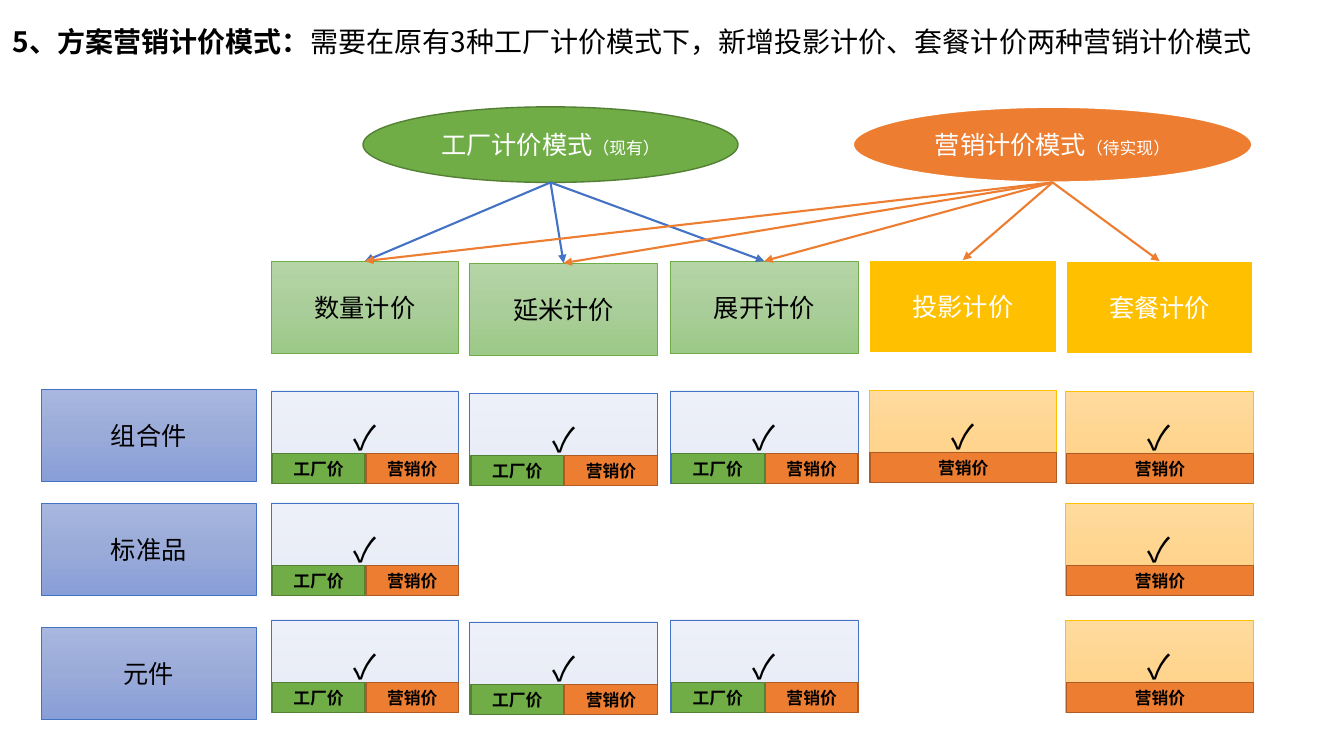
from lxml import etree
from pptx import Presentation
from pptx import util as u
from pptx.dml import color
from pptx.enum import shapes, text
from pptx.oxml import ns

FONT = "Noto Sans CJK SC"
BLUE, GREEN, ORANGE, GOLD = "4472C4", "70AD47", "ED7D31", "FFC000"
BLUES = ["A8B7DF", "9AABD9", "889ED7"]
GREENS = ["B5D5A7", "AACE9A", "9CC987"]
GOLDS = ["FFDB9E", "FFD590", "FFD07C"]
WIDE, HIGH = 1.86, 0.92
HEAD_Y = 2.59
MODES = [("数量计价", 2.69, 0), ("延米计价", 4.66, 0.02), ("展开计价", 6.65, 0),
         ("投影计价", 8.62, -0.01), ("套餐计价", 10.57, 0)]
GOODS = [("组合件", 3.86, 3.88, [0, 1, 2, 3, 4]),
         ("标准品", 4.99, 4.99, [0, 4]),
         ("元件", 6.22, 6.15, [0, 1, 2, 4])]


def rgb(code):
    """Turn a hex string into a colour."""
    return color.RGBColor.from_string(code)


def style(run, size, code, bold=False):
    """Format one run for both Latin and Chinese glyphs."""
    font = run.font
    font.size, font.bold, font.name = u.Pt(size), bold, FONT
    font.color.rgb = rgb(code)
    east = etree.SubElement(run._r.get_or_add_rPr(), ns.qn("a:ea"))
    east.set("typeface", FONT)


def shade(shape, codes, alpha):
    """Fill a shape with an even vertical gradient."""
    shape.fill.gradient()
    shape.fill.gradient_angle = 270
    stops = shape._element.spPr.find(".//" + ns.qn("a:gsLst"))
    for old in list(stops):
        stops.remove(old)
    for i, code in enumerate(codes):
        stop = etree.SubElement(stops, ns.qn("a:gs"), pos=str(i * 50000))
        tint = etree.SubElement(stop, ns.qn("a:srgbClr"), val=code)
        if alpha < 100:
            etree.SubElement(tint, ns.qn("a:alpha"), val=str(alpha * 1000))


def box(parent, at, parts, fill, line, weight, ink="000000", bold=False,
        kind=shapes.MSO_SHAPE.RECTANGLE, alpha=100):
    """Add a filled shape with centred text given as (words, size) parts."""
    shape = parent.add_shape(kind, *map(u.Inches, at))
    shape.shadow.inherit = False
    if isinstance(fill, list):
        shade(shape, fill, alpha)
    else:
        shape.fill.solid()
        shape.fill.fore_color.rgb = rgb(fill)
    shape.line.color.rgb = rgb(line)
    shape.line.width = u.Pt(weight)
    frame = shape.text_frame
    frame.word_wrap = True
    frame.vertical_anchor = text.MSO_ANCHOR.MIDDLE
    para = frame.paragraphs[0]
    para.alignment = text.PP_ALIGN.CENTER
    for words, size in parts:
        run = para.add_run()
        run.text = words
        style(run, size, ink, bold)
    return shape


def arrow(parent, start, head, code):
    """Draw an arrow from a point to the top of a box."""
    x, y = map(u.Inches, start)
    line = parent.add_connector(shapes.MSO_CONNECTOR.STRAIGHT, x, y, x, y)
    line.end_connect(head, 0)
    line.line.color.rgb = rgb(code)
    line.line.width = u.Pt(1.5)
    prop = line._element.spPr
    etree.SubElement(prop.find(ns.qn("a:ln")), ns.qn("a:tailEnd"), type="triangle")
    etree.SubElement(prop, ns.qn("a:effectLst"))


def title(parent):
    """Add the heading with its bold lead."""
    frame = parent.add_textbox(*map(u.Inches, (0.03, 0.19, 13.31, 0.44))).text_frame
    frame.word_wrap = True
    frame.auto_size = text.MSO_AUTO_SIZE.SHAPE_TO_FIT_TEXT
    lead = ("5、方案营销计价模式：", True)
    rest = ("需要在原有3种工厂计价模式下，新增投影计价、套餐计价两种营销计价模式", False)
    for words, bold in (lead, rest):
        run = frame.paragraphs[0].add_run()
        run.text = words
        style(run, 20, "000000", bold)


def price(parent, x, y, wide, plant=False):
    """Add one price tag, for the plant or for sales."""
    name, fill, line = (("工厂价", GREEN, "538035") if plant
                        else ("营销价", ORANGE, "AF5C24"))
    box(parent, (x, y, wide, 0.3), [(name, 12)], fill, line, 1, bold=True)


def cell(parent, x, y, both):
    """Add a ticked cell with its price tags."""
    fill, line, alpha = (BLUES, BLUE, 20) if both else (GOLDS, GOLD, 100)
    box(parent, (x, y, WIDE, HIGH), [("✓", 24)], fill, line, 0.5, alpha=alpha)
    x, y = x + 0.01, y + 0.62
    if both:
        pair = parent.add_group_shape().shapes
        price(pair, x, y, 0.92, True)
        price(pair, x + 0.93, y, 0.92)
    else:
        price(parent, x, y, 1.85)


def main():
    """Build the pricing slide."""
    deck = Presentation()
    deck.slide_width, deck.slide_height = u.Inches(13.33), u.Inches(7.5)
    page = deck.slides.add_slide(deck.slide_layouts[6]).shapes
    title(page)
    oval = shapes.MSO_SHAPE.OVAL
    box(page, (3.6, 1.06, 3.72, 0.75), [("工厂计价模式", 18), ("（现有）", 12)],
        GREEN, "538035", 1, "FFFFFF", kind=oval)
    box(page, (8.46, 1.06, 3.96, 0.75), [("营销计价模式", 18), ("（待实现）", 12)],
        ORANGE, "FFFFFF", 1.5, "FFFFFF", kind=oval)
    heads = []
    for i, (name, x, shift) in enumerate(MODES):
        look = (GREENS, GREEN, 0.5) if i < 3 else (GOLD, "FFFFFF", 1.5, "FFFFFF")
        at = (x, HEAD_Y + shift, WIDE, HIGH)
        heads.append(box(page, at, [(name, 18)], *look))
    for head in heads[:3]:
        arrow(page, (5.46, 1.81), head, BLUE)
    for head in heads:
        arrow(page, (10.44, 1.81), head, ORANGE)
    for name, top, y, cols in GOODS:
        box(page, (0.41, top, 2.13, HIGH), [(name, 18)], BLUES, BLUE, 0.5)
        for i in cols:
            _, x, shift = MODES[i]
            cell(page, x, y + shift, i < 3)
    deck.save("out.pptx")


if __name__ == "__main__":
    main()
